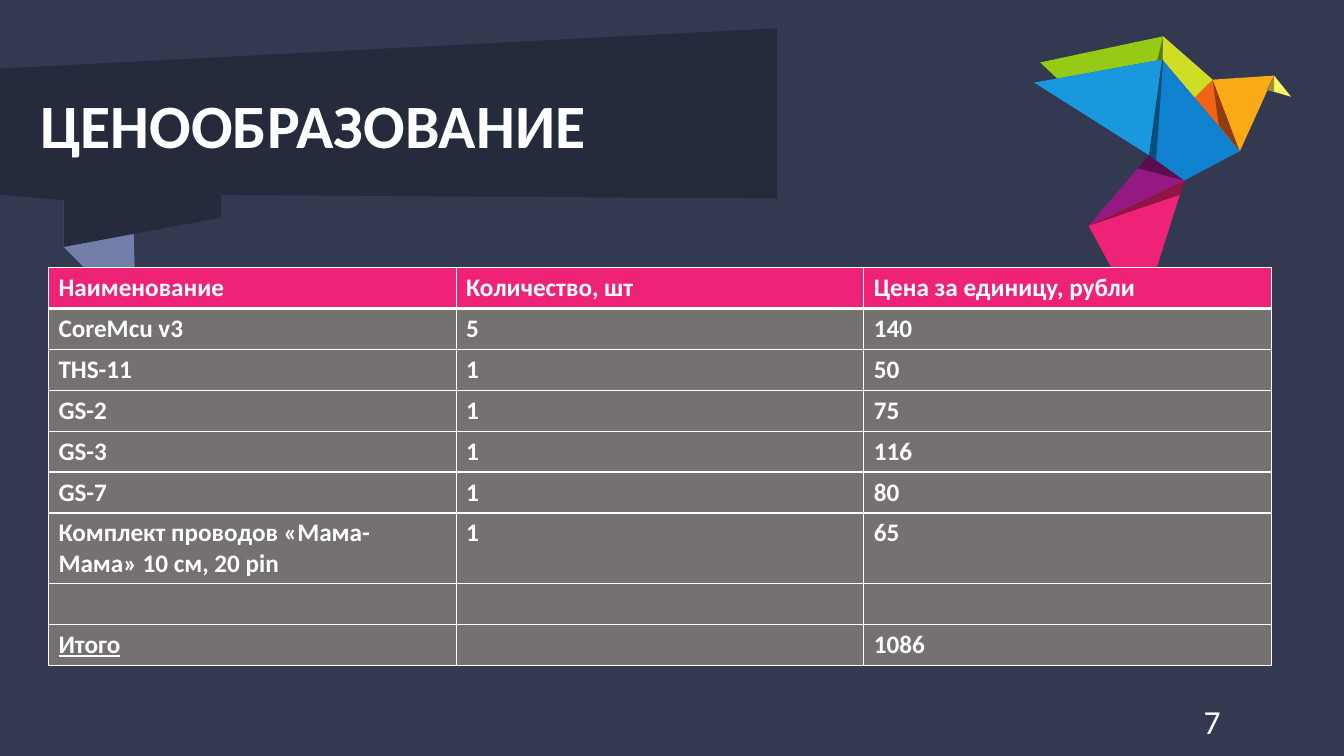
from dataclasses import dataclass

from lxml.etree import SubElement
from pptx import Presentation
from pptx.dml.color import RGBColor
from pptx.enum.text import MSO_ANCHOR, MSO_AUTO_SIZE, PP_ALIGN
from pptx.oxml import parse_xml
from pptx.oxml.ns import nsdecls, qn
from pptx.shapes.shapetree import GroupShapes
from pptx.table import _Cell
from pptx.text.text import TextFrame
from pptx.util import Pt

FONT = "Calibri"
COLORS = {
    "background": "323951", "banner": "252B3D", "fold": "727FA8",
    "white": "FFFFFF", "row": "767171", "shade": "000000",
    "pink": "EE2377", "crimson": "8F1547", "purple": "951983",
    "sky": "1A98DD", "blue": "0F81CF", "green": "95CA15", "lime": "CFDE25",
    "orange": "F16415", "amber": "FAAA15", "yellow": "FCF664",
}
SHADE_ALPHA = 40000


@dataclass(frozen=True)
class Facet:
    color: str
    points: list[tuple[float, float]]


FOLD = Facet("fold", [(97.2, 228.2), (45.4, 176.4), (45.4, 72.7), (95, 149)])
BANNER = [
    Facet("banner", [(157.7, 155.5), (45.4, 176.4), (45.4, 83.5), (157.7, 111.6)]),
    Facet("banner", [(157.7, 152.6), (0, 139), (0, 49), (157.7, 56.2)]),
    Facet("banner", [(0, 49), (555.1, 20.2), (555.1, 141.8), (0, 138.2)]),
]

# Corners shared by the facets of the paper bird
CREST, SHOULDER, WING_TIP = (830.9, 25.9), (830.2, 42.5), (738.7, 59)
NECK, CHEEK, THROAT = (866.2, 56.9), (853.2, 69.8), (885.6, 108)
BROW, BEAK_BASE = (910.1, 54), (905, 64.1)
BELLY, HIP, TAIL = (820.8, 110.9), (846, 128.9), (777.6, 161.3)
BIRD = [
    Facet("orange", [NECK, CHEEK, THROAT]),
    Facet("yellow", [(922.3, 69.1), BROW, BEAK_BASE]),
    Facet("purple", [TAIL, HIP, BELLY]),
    Facet("green", [(743, 44.6), CREST, SHOULDER, (755.3, 56.2)]),
    Facet("pink", [(814.3, 229), HIP, TAIL]),
    Facet("sky", [WING_TIP, SHOULDER, BELLY]),
    Facet("shade", [NECK, THROAT, (870.5, 89.3)]),
    Facet("amber", [BROW, THROAT, NECK]),
    Facet("shade", [BROW, (910.1, 65.5), BEAK_BASE]),
    Facet("lime", [CREST, NECK, CHEEK, SHOULDER]),
    Facet("shade", [CREST, SHOULDER, (826.6, 43.2)]),
    Facet("shade", [BELLY, HIP, (812.9, 120.2)]),
    Facet("crimson", [HIP, (843.1, 139), TAIL]),
    Facet("blue", [THROAT, SHOULDER, BELLY, HIP]),
    Facet("shade", [SHOULDER, (830.9, 42.5), (825.8, 114.5), BELLY]),
]

PRICES = [
    ("Наименование", "Количество, шт", "Цена за единицу, рубли"),
    ("CoreMcu v3", "5", "140"),
    ("THS-11", "1", "50"),
    ("GS-2", "1", "75"),
    ("GS-3", "1", "116"),
    ("GS-7", "1", "80"),
    ("Комплект проводов «Мама-Мама» 10 см, 20 pin", "1", "65"),
    ("", "", ""),
    ("Итого", "", "1086"),
]
TABLE_LEFT, TABLE_TOP, COLUMN_WIDTH, ROW_HEIGHT = 34.6, 191.2, 291.2, 29.2


def rgb(name: str) -> RGBColor:
    return RGBColor.from_string(COLORS[name])


def draw_facet(shapes: GroupShapes, facet: Facet) -> None:
    points = [(Pt(x), Pt(y)) for x, y in facet.points]
    builder = shapes.build_freeform(*points[0])
    builder.add_line_segments(points[1:], close=True)
    sp = builder.convert_to_shape()
    sp.shadow.inherit = False
    sp.line.fill.background()
    sp.fill.solid()
    sp.fill.fore_color.rgb = rgb(facet.color)
    if facet.color == "shade":
        color = next(sp._element.spPr.iter(qn("a:srgbClr")))
        SubElement(color, qn("a:alpha"), val=str(SHADE_ALPHA))


def format_text(tf: TextFrame, size: float, bold: bool) -> None:
    for p in tf.paragraphs:
        for r in p.runs:
            r.font.name = FONT
            r.font.size = Pt(size)
            r.font.bold = bold
            r.font.color.rgb = rgb("white")


def set_borders(cell: _Cell, widths: dict[str, float]) -> None:
    """Draw white borders; the keys of widths are sides in L, R, T, B order."""
    for i, (side, width) in enumerate(widths.items()):
        line = parse_xml(
            f'<a:ln{side} {nsdecls("a")} w="{Pt(width)}"><a:solidFill>'
            f'<a:srgbClr val="{COLORS["white"]}"/></a:solidFill></a:ln{side}>'
        )
        cell._tc.get_or_add_tcPr().insert(i, line)


def main() -> None:
    prs = Presentation()
    prs.slide_width, prs.slide_height = Pt(960), Pt(540)
    s = prs.slides.add_slide(prs.slide_layouts[5])
    s.background.fill.solid()
    s.background.fill.fore_color.rgb = rgb("background")

    draw_facet(s.shapes, FOLD)
    for facets in (BANNER, BIRD):
        group = s.shapes.add_group_shape()
        for facet in facets:
            draw_facet(group.shapes, facet)

    title = s.shapes.title
    s.shapes._spTree.append(title._element)  # in front of the banner
    title.left, title.top, title.width, title.height = Pt(0), Pt(49), Pt(555.1), Pt(85)
    tf = title.text_frame
    tf.text = "ЦЕНООБРАЗОВАНИЕ"
    tf.auto_size = MSO_AUTO_SIZE.NONE
    tf.vertical_anchor = MSO_ANCHOR.MIDDLE
    tf.margin_left = Pt(28.8)
    tf.paragraphs[0].alignment = PP_ALIGN.LEFT
    tf.paragraphs[0].line_spacing = 0.9
    format_text(tf, 44, True)

    number = s.shapes.add_textbox(Pt(837.4), Pt(500.4), Pt(56.9), Pt(28.8))
    tf = number.text_frame
    tf.text = "7"
    tf.word_wrap = True
    tf.vertical_anchor = MSO_ANCHOR.MIDDLE
    tf.paragraphs[0].alignment = PP_ALIGN.CENTER
    format_text(tf, 24, False)

    rows, columns = len(PRICES), len(PRICES[0])
    table = s.shapes.add_table(
        rows, columns, Pt(TABLE_LEFT), Pt(TABLE_TOP),
        Pt(columns * COLUMN_WIDTH), Pt(rows * ROW_HEIGHT),
    ).table
    for i, values in enumerate(PRICES):
        for j, value in enumerate(values):
            cell = table.cell(i, j)
            cell.text_frame.text = value
            format_text(cell.text_frame, 18, True)
            cell.fill.solid()
            cell.fill.fore_color.rgb = rgb("row" if i else "pink")
            set_borders(cell, {"L": 1, "R": 1, "T": 3 if i == 1 else 1, "B": 1 if i else 3})
    table.cell(rows - 1, 0).text_frame.paragraphs[0].runs[0].font.underline = True

    prs.save("out.pptx")


if __name__ == "__main__":
    main()
